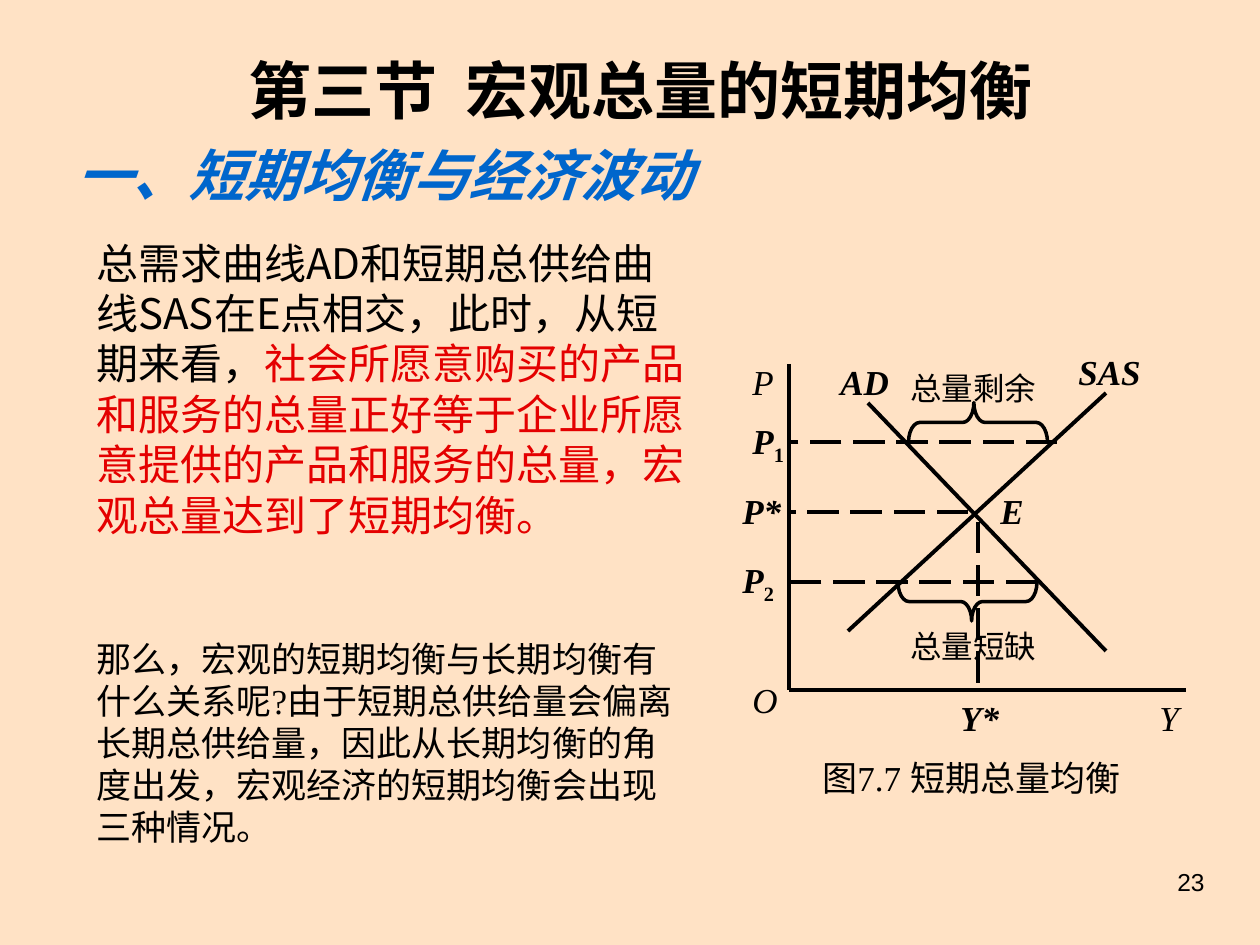
from lxml.etree import SubElement
from pptx import Presentation
from pptx.dml.color import RGBColor
from pptx.enum.dml import MSO_LINE_DASH_STYLE as DASH
from pptx.enum.shapes import MSO_CONNECTOR, MSO_SHAPE
from pptx.enum.text import MSO_ANCHOR, MSO_AUTO_SIZE as AUTO_SIZE, PP_ALIGN as ALIGN
from pptx.oxml.ns import qn
from pptx.util import Pt

EMU_PER_PX = 914400 / 126
SANS, SERIF = "Noto Sans CJK SC", "Times New Roman"
BLACK, BLUE, RED, PEACH = "000000", "0066CC", "E40000", "FFE2C5"
AXIS_X, AXIS_Y = 789, 690
EQUILIBRIUM_X = 978


def px(length):
    return round(length * EMU_PER_PX)


def color(hex_string):
    return RGBColor.from_string(hex_string)


def set_font(font, size, name=SERIF, fill=BLACK, bold=False, italic=False):
    font.size, font.bold, font.italic = Pt(size), bold, italic
    font.color.rgb = color(fill)
    font.name = name
    if name != "Arial":
        SubElement(font._rPr, qn("a:ea")).set("typeface", SANS)


def add_text(slide, box, text, size, wrap=False, align=ALIGN.LEFT, **style):
    shape = slide.shapes.add_textbox(*map(px, box))
    frame = shape.text_frame
    frame.word_wrap = wrap
    frame.auto_size = AUTO_SIZE.SHAPE_TO_FIT_TEXT
    paragraph = frame.paragraphs[0]
    paragraph.alignment = align
    paragraph.add_run().text = text
    set_font(paragraph.font, size, **style)
    return paragraph


def add_price_label(slide, box, subscript):
    paragraph = add_text(slide, box, "P", 20, bold=True, italic=True)
    run = paragraph.add_run()
    run.text = subscript
    run.font.italic = False
    run.font._rPr.set("baseline", "-25000")


def add_line(slide, start, end, dashed=False):
    line = slide.shapes.add_connector(MSO_CONNECTOR.STRAIGHT, *map(px, start + end))
    line.line.color.rgb = color(BLACK)
    line.line.width = Pt(2.25)
    if dashed:
        line.line.dash_style = DASH.LONG_DASH
    SubElement(line._element.spPr, qn("a:effectLst"))


def add_brace(slide, box, rotation):
    brace = slide.shapes.add_shape(MSO_SHAPE.LEFT_BRACE, *map(px, box))
    brace.rotation = rotation
    brace.adjustments[0] = 0.28
    brace.adjustments[1] = 0.53
    brace.shadow.inherit = False
    brace.fill.background()
    brace.line.color.rgb = color(BLACK)
    brace.line.width = Pt(2)


def add_headings(slide):
    title = slide.shapes.title
    title.left, title.top, title.width, title.height = map(px, (64, 45, 1153, 248))
    frame = title.text_frame
    frame.word_wrap = True
    frame.auto_size = AUTO_SIZE.NONE
    frame.vertical_anchor = MSO_ANCHOR.TOP
    heading, subheading = frame.paragraphs[0], frame.add_paragraph()
    heading.text = "第三节  宏观总量的短期均衡"
    subheading.text = "一、短期均衡与经济波动"
    heading.alignment, subheading.alignment = ALIGN.CENTER, ALIGN.LEFT
    subheading.space_before = Pt(8)
    set_font(heading.font, 36, SANS, bold=True)
    set_font(subheading.font, 32, SANS, BLUE, bold=True, italic=True)


def add_body(slide):
    definition = add_text(
        slide, (84, 231, 625, 315),
        "总需求曲线AD和短期总供给曲线SAS在E点相交，此时，从短期来看，",
        24, wrap=True, name=SANS)
    emphasis = definition.add_run()
    emphasis.text = ("社会所愿意购买的产品和服务的总量正好等于企业所愿意提供的"
                     "产品和服务的总量，宏观总量达到了短期均衡。")
    emphasis.font.color.rgb = color(RED)
    add_text(
        slide, (84, 631, 605, 223),
        "那么，宏观的短期均衡与长期均衡有什么关系呢?由于短期总供给量会偏离"
        "长期总供给量，因此从长期均衡的角度出发，宏观经济的短期均衡会出现三种情况。",
        20, wrap=True)


def add_diagram(slide):
    add_line(slide, (AXIS_X, 364), (AXIS_X, AXIS_Y))
    add_line(slide, (AXIS_X, AXIS_Y), (1186, AXIS_Y))
    add_line(slide, (1106, 393), (848, 631))
    add_line(slide, (868, 403), (1106, 651))
    for right, y in ((1057, 442), (968, 512), (1037, 582)):
        add_line(slide, (right, y), (AXIS_X, y), dashed=True)
    add_line(slide, (EQUILIBRIUM_X, 522), (EQUILIBRIUM_X, AXIS_Y), dashed=True)

    for text, left, top, width, bold in (
        ("P", 740, 354, 47, False),
        ("O", 740, 672, 50, False),
        ("Y", 1147, 690, 44, False),
        ("E", 988, 483, 48, True),
        ("SAS", 1066, 344, 94, True),
        ("AD", 828, 354, 80, True),
        ("Y*", 948, 690, 66, True),
        ("P*", 730, 483, 66, True),
    ):
        add_text(slide, (left, top, width, 55), text, 20, bold=bold, italic=True)
    add_price_label(slide, (740, 413, 58, 60), "1")
    add_price_label(slide, (730, 552, 58, 60), "2")

    add_brace(slide, (958, 353, 40, 139), 90)
    add_brace(slide, (948, 532, 39, 139), 270)
    for text, top in (("总量剩余", 363), ("总量短缺", 621)):
        add_text(slide, (898, top, 153, 50), text, 18)
    add_text(slide, (810, 750, 342, 55), "图7.7 短期总量均衡", 20)


def main():
    presentation = Presentation()
    presentation.slide_width, presentation.slide_height = px(1260), px(945)
    slide = presentation.slides.add_slide(presentation.slide_layouts[5])
    slide.background.fill.solid()
    slide.background.fill.fore_color.rgb = color(PEACH)
    add_headings(slide)
    add_body(slide)
    add_diagram(slide)
    add_text(slide, (902, 861, 315, 66), "23", 14, wrap=True,
             align=ALIGN.RIGHT, name="Arial")
    presentation.save("out.pptx")


if __name__ == "__main__":
    main()
